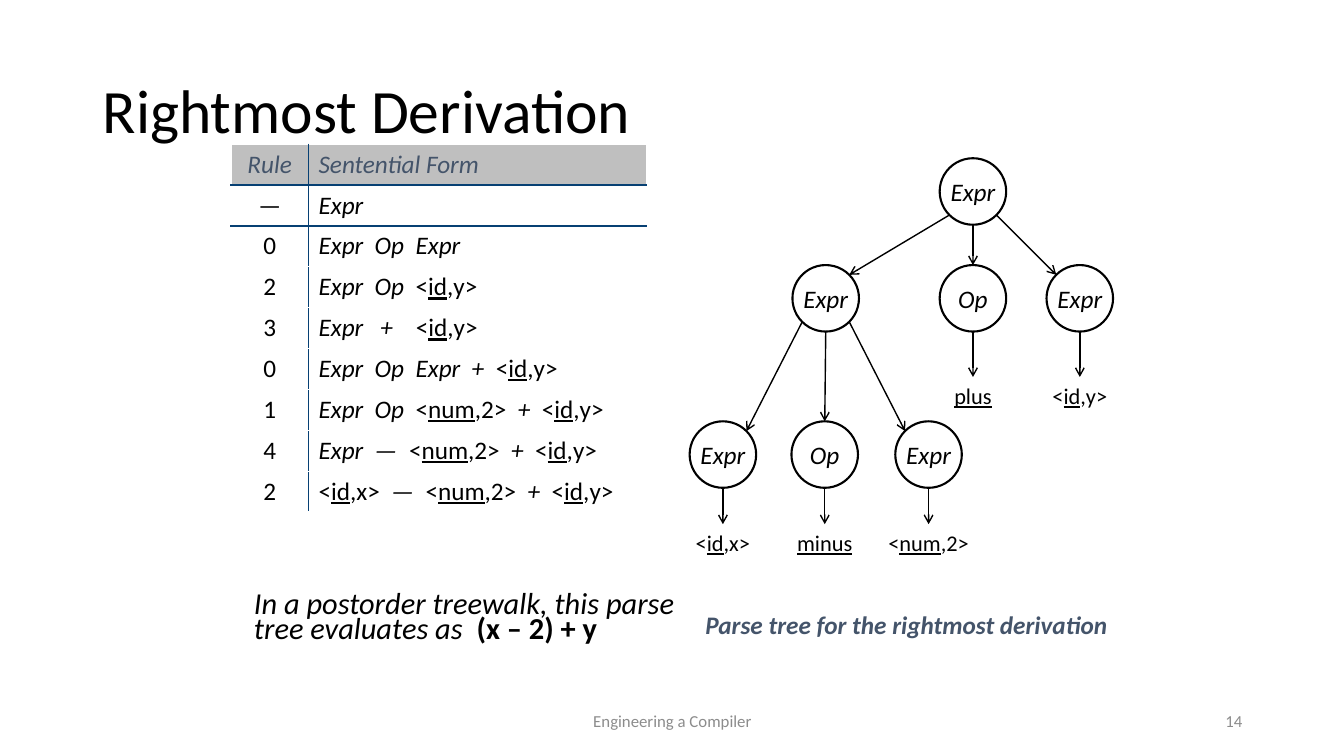
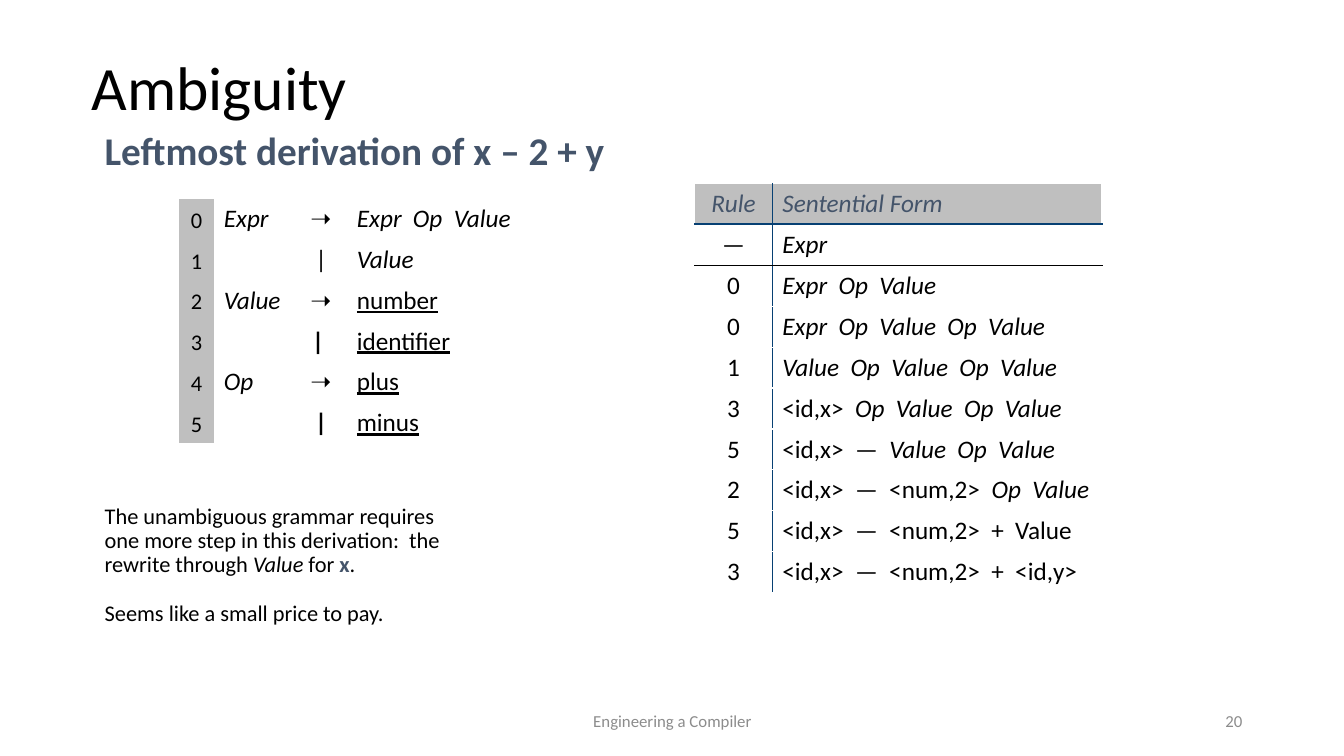
from dataclasses import dataclass
from math import sqrt

from lxml import etree
from pptx import Presentation
from pptx.dml.color import RGBColor
from pptx.enum.shapes import MSO_CONNECTOR as CONN, MSO_SHAPE as SHAPE
from pptx.enum.text import MSO_ANCHOR as ANCHOR, PP_ALIGN as ALIGN
from pptx.oxml.ns import qn
from pptx.util import Inches, Pt


@dataclass(frozen=True)
class Theme:
    font: str = "Calibri"
    ink: str = "000000"
    paper: str = "FFFFFF"
    accent: str = "44546A"
    rule: str = "074073"
    band: str = "BFBFBF"
    muted: str = "8C8C8C"
    title: float = 44
    heading: float = 28
    remark: float = 21.7
    body: float = 18
    small: float = 16
    footer: float = 12


T = Theme()
NO_TABLE_STYLE = "{2D5ABB26-0587-4C30-8999-92F81FD0307C}"
FOOTER = "Engineering a Compiler"

RADIUS = 0.33
LEVEL_Y = (1.9, 2.96, 4.51)
TOKEN_Y = (0, 3.74, 5.2)
PARSE_TREE = ("Expr", 9.65, [
    ("Expr", 8.19, [
        ("Expr", 7.17, "<_id_,x>"),
        ("Op", 8.18, "_minus_"),
        ("Expr", 9.21, "<_num_,2>"),
    ]),
    ("Op", 9.65, "_plus_"),
    ("Expr", 10.71, "<_id_,y>"),
])

RIGHTMOST = [
    ("—", "*Expr*"),
    ("0", "*Expr  Op  Expr*"),
    ("2", "*Expr  Op  *<_id_,y>"),
    ("3", "*Expr   +    *<_id_,y>"),
    ("0", "*Expr  Op  Expr  +  *<_id_,y>"),
    ("1", "*Expr  Op  *<_num_,2>*  +  *<_id_,y>"),
    ("4", "*Expr  —  *<_num_,2>*  +  *<_id_,y>"),
    ("2", "<_id_,x>*  —  *<_num_,2>*  +  *<_id_,y>"),
]

LEFTMOST = [
    ("—", "*Expr*"),
    ("0", "*Expr  Op  Value*"),
    ("0", "*Expr  Op  Value  Op  Value*"),
    ("1", "*Value  Op  Value  Op  Value*"),
    ("3", "<id,x>  *Op  Value  Op  Value*"),
    ("5", "<id,x>  —  *Value  Op  Value*"),
    ("2", "<id,x>  —  <num,2>  *Op  Value*"),
    ("5", "<id,x>  —  <num,2>  +  Value"),
    ("3", "<id,x>  —  <num,2>  +  <id,y>"),
]

GRAMMAR = [
    ("*Expr*", "^➝^", "*Expr  Op  Value*"),
    ("", "|", "*Value*"),
    ("*Value*", "^➝^", "_number_"),
    ("", "^| ^", "_identifier_"),
    ("*Op*", "^➝^", "_plus_"),
    ("", "^|^", "_minus_"),
]


def rgb(color):
    return RGBColor.from_string(color)


def write(p, text, size, color=T.ink, align=ALIGN.LEFT, spacing=None):
    """Marks toggle styles: * italic, ^ bold, _ underline, # accent colour."""
    p.alignment = align
    if spacing:
        p.line_spacing = spacing
    pieces, active = [["", frozenset()]], frozenset()
    for char in text:
        if char in "*^_#":
            active = active ^ {char}
            pieces.append(["", active])
        else:
            pieces[-1][0] += char
    for piece, marks in pieces:
        if not piece:
            continue
        r = p.add_run()
        r.text = piece
        r.font.name, r.font.size = T.font, Pt(size)
        r.font.italic, r.font.bold = "*" in marks, "^" in marks
        r.font.underline = "_" in marks
        r.font.color.rgb = rgb(T.accent if "#" in marks else color)


def add_text(s, box, text, size, anchor=ANCHOR.TOP, **style):
    tf = s.shapes.add_textbox(*map(Inches, box)).text_frame
    tf.word_wrap = True
    tf.vertical_anchor = anchor
    write(tf.paragraphs[0], text, size, **style)
    return tf


def add_slide(prs, title, left, top, number):
    s = prs.slides.add_slide(prs.slide_layouts[6])
    add_text(s, (left, top, 11.5, 1.45), title, T.title, ANCHOR.MIDDLE, spacing=0.9)
    for box, text, align in (((4.42, 6.95, 4.5, 0.4), FOOTER, ALIGN.CENTER),
                             ((9.42, 6.95, 3, 0.4), str(number), ALIGN.RIGHT)):
        add_text(s, box, text, T.footer, ANCHOR.MIDDLE, color=T.muted, align=align)
    return s


def set_border(cell, side, color, width):
    ln = etree.SubElement(cell._tc.get_or_add_tcPr(), qn(f"a:ln{side}"), w=str(Pt(width)))
    fill = etree.SubElement(ln, qn("a:solidFill"))
    etree.SubElement(fill, qn("a:srgbClr"), val=color)


def fill_cell(cell, color=None):
    if color:
        cell.fill.solid()
        cell.fill.fore_color.rgb = rgb(color)
    else:
        cell.fill.background()


def add_table(s, left, top, height, widths, rows):
    frame = s.shapes.add_table(rows, len(widths), Inches(left), Inches(top),
                               Inches(sum(widths)), Inches(height))
    table = frame.table
    table.first_row = table.horz_banding = False
    table._tbl.tblPr.find(qn("a:tableStyleId")).text = NO_TABLE_STYLE
    for column, width in zip(table.columns, widths):
        column.width = Inches(width)
    return table


def add_derivation(s, left, top, height, form_width, steps, start_rule):
    rows = [("*Rule*", "*Sentential Form*")] + steps
    table = add_table(s, left, top, height, (0.77, form_width), len(rows))
    plain, divider = (T.paper, 1), (T.rule, 1)
    row_rules = {1: (T.rule, 1.5), 2: start_rule}
    for i, row in enumerate(rows):
        for j, text in enumerate(row):
            cell = table.cell(i, j)
            write(cell.text_frame.paragraphs[0], text, T.body,
                  T.ink if i else T.accent, ALIGN.LEFT if j else ALIGN.CENTER)
            borders = {"L": divider if j else plain, "R": plain if j else divider,
                       "T": row_rules.get(i, plain), "B": row_rules.get(i + 1, plain)}
            for side, (color, width) in borders.items():
                set_border(cell, side, color, width)
            fill_cell(cell, None if i else T.band)


def add_grammar(s):
    table = add_table(s, 1.78, 1.97, 2.43, (0.34, 0.81, 0.51, 1.82), len(GRAMMAR))
    for i, production in enumerate(GRAMMAR):
        for j, text in enumerate((str(i),) + production):
            cell = table.cell(i, j)
            write(cell.text_frame.paragraphs[0], text, T.body if j else T.small,
                  align=ALIGN.LEFT if j % 2 else ALIGN.CENTER if j < 3 else ALIGN.LEFT)
            fill_cell(cell, None if j else T.band)
        table.cell(i, 0).vertical_anchor = ANCHOR.BOTTOM


def add_arrow(s, x1, y1, x2, y2):
    line = s.shapes.add_connector(CONN.STRAIGHT, *map(Inches, (x1, y1, x2, y2)))
    line.line.color.rgb = rgb(T.ink)
    line.line.width = Pt(1)
    etree.SubElement(line.line._get_or_add_ln(), qn("a:tailEnd"), type="arrow")
    etree.SubElement(line._element.spPr, qn("a:effectLst"))


def add_node(s, x, y, label):
    sp = s.shapes.add_shape(SHAPE.OVAL, Inches(x - RADIUS), Inches(y - RADIUS),
                            Inches(2 * RADIUS), Inches(2 * RADIUS))
    sp.shadow.inherit = False
    sp.fill.solid()
    sp.fill.fore_color.rgb = rgb(T.paper)
    sp.line.color.rgb = rgb(T.ink)
    sp.line.width = Pt(1.5)
    tf = sp.text_frame
    tf.word_wrap = False
    tf.vertical_anchor = ANCHOR.MIDDLE
    tf.margin_left = tf.margin_right = tf.margin_top = tf.margin_bottom = 0
    write(tf.paragraphs[0], f"*{label}*", T.body, align=ALIGN.CENTER)


def add_branch(s, x1, y1, x2, y2):
    if abs(x2 - x1) < RADIUS:
        dx, dy = 0, RADIUS
    else:
        dy = RADIUS / sqrt(2)
        dx = dy if x2 > x1 else -dy
    add_arrow(s, x1 + dx, y1 + dy, x2 - dx, y2 - dy)


def add_tree(s, node, depth=0):
    label, x, below = node
    y = LEVEL_Y[depth]
    add_node(s, x, y, label)
    if isinstance(below, str):
        token_y = TOKEN_Y[depth]
        add_arrow(s, x, y + RADIUS, x, token_y)
        add_text(s, (x - 0.5, token_y, 1, 0.37), below, T.small, align=ALIGN.CENTER)
        return
    for child in below:
        add_branch(s, x, y, child[1], LEVEL_Y[depth + 1])
        add_tree(s, child, depth + 1)


def add_rightmost_slide(prs):
    s = add_slide(prs, "Rightmost Derivation", 0.92, 0.4, 14)
    add_derivation(s, 2.29, 1.43, 3.65, 3.35, RIGHTMOST, (T.rule, 1.5))
    add_text(s, (2.42, 5.84, 4.52, 0.94),
             "*In a postorder treewalk, this parse tree evaluates as  *^(x – 2) + y^",
             T.remark, spacing=0.7)
    add_text(s, (6.73, 6, 4.52, 0.4), "*^Parse tree for the rightmost derivation^*",
             T.body, color=T.accent, align=ALIGN.CENTER)
    add_tree(s, PARSE_TREE)


def add_ambiguity_slide(prs):
    s = add_slide(prs, "Ambiguity", 0.81, 0.17, 20)
    add_text(s, (0.94, 1.26, 10.03, 0.6), "^Leftmost derivation of x – 2 + y^",
             T.heading, color=T.accent, spacing=0.9)
    add_grammar(s)
    add_derivation(s, 6.89, 1.82, 4.06, 3.27, LEFTMOST, (T.ink, 0.75))
    tf = add_text(s, (0.94, 4.96, 3.65, 1.4),
                  "The unambiguous grammar requires one more step in this derivation:  the "
                  "rewrite through *Value *for ^#x#^.", T.small, spacing=0.9)
    p = tf.add_paragraph()
    p.space_before = Pt(18)
    write(p, "Seems like a small price to pay.", T.small, spacing=0.9)


def main():
    prs = Presentation()
    prs.slide_width, prs.slide_height = Inches(13.33), Inches(7.5)
    add_rightmost_slide(prs)
    add_ambiguity_slide(prs)
    prs.save("out.pptx")


if __name__ == "__main__":
    main()
